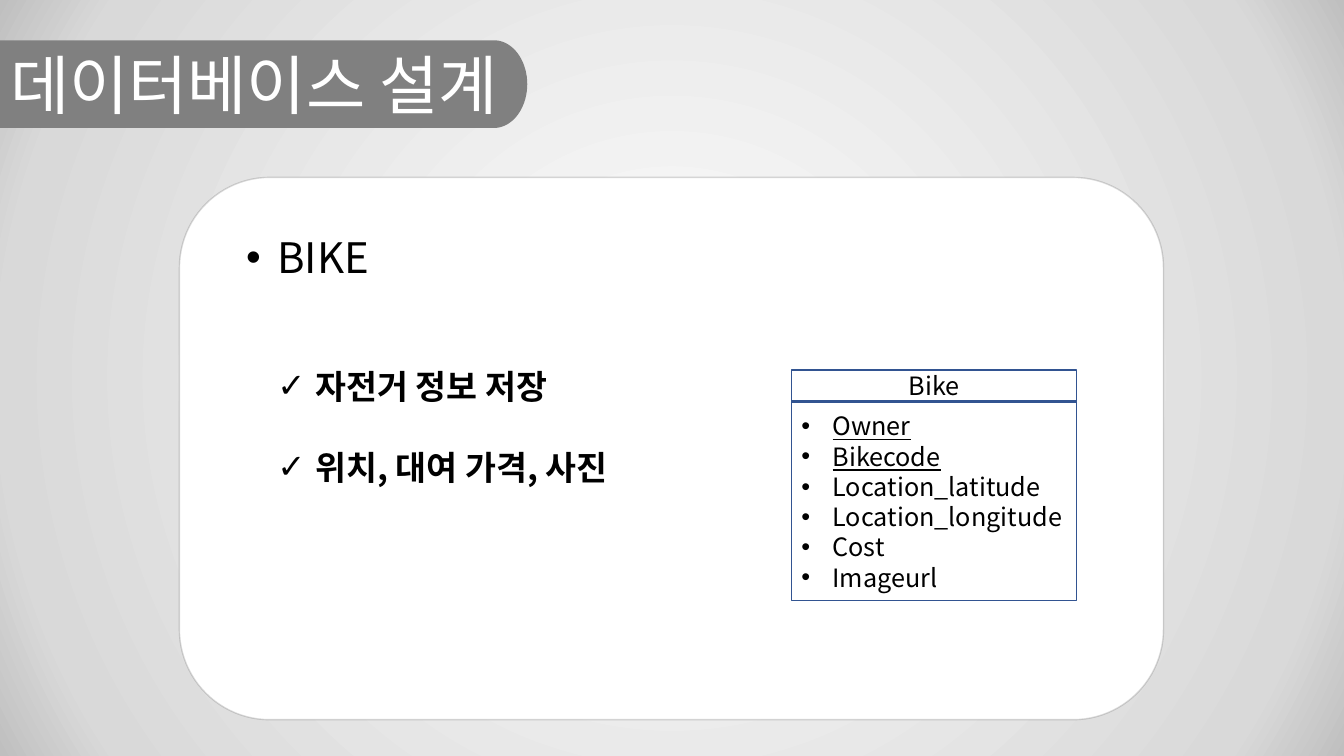
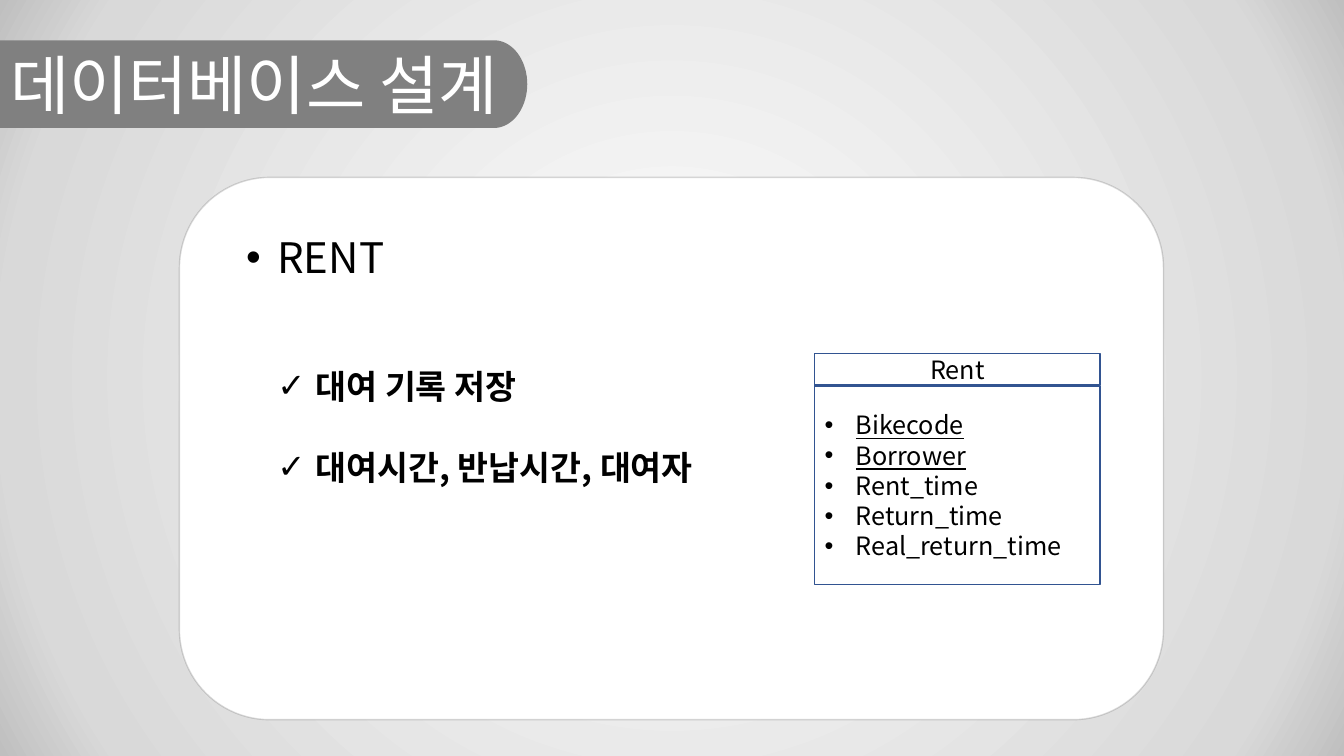
"""Build two database design slides, one for each stored entity."""
import math

import pptx
import pptx.dml.color
import pptx.enum.shapes
import pptx.enum.text
import pptx.oxml
import pptx.oxml.ns
import pptx.util
from lxml import etree

Inches = pptx.util.Inches
Pt = pptx.util.Pt
ALIGN = pptx.enum.text.PP_ALIGN
ANCHOR = pptx.enum.text.MSO_ANCHOR
SHAPE = pptx.enum.shapes.MSO_SHAPE
qn = pptx.oxml.ns.qn

FONT = "Noto Sans CJK KR"
BLACK, WHITE, BAND_GREY, ENTITY_BLUE = "000000", "FFFFFF", "808080", "325491"
HEADING = "데이터베이스 설계"

ENTITIES = [
    {
        "topic": "BIKE",
        "points": ["자전거 정보 저장", "위치, 대여 가격, 사진"],
        "name": "Bike",
        "corner": (7.85, 3.67),
        "keys": ["Owner", "Bikecode"],
        "fields": ["Location_latitude", "Location_longitude", "Cost", "Imageurl"],
    },
    {
        "topic": "RENT",
        "points": ["대여 기록 저장", "대여시간, 반납시간, 대여자"],
        "name": "Rent",
        "corner": (8.08, 3.51),
        "keys": ["Bikecode", "Borrower"],
        "fields": ["Rent_time", "Return_time", "Real_return_time"],
    },
]


def color(hex_code):
    return pptx.dml.color.RGBColor.from_string(hex_code)


def write_lines(frame, lines, size, ink=BLACK, bold=False, underlined=(), bullet=None,
                indent=0, gap=0, align=ALIGN.LEFT, anchor=ANCHOR.TOP):
    frame.word_wrap = True
    frame.auto_size = pptx.enum.text.MSO_AUTO_SIZE.NONE
    frame.vertical_anchor = anchor
    for number, line in enumerate(lines):
        paragraph = frame.add_paragraph() if number else frame.paragraphs[0]
        paragraph.alignment = align
        paragraph.line_spacing = Pt(size * 1.2)
        paragraph.space_before = Pt(gap if number else 0)
        properties = paragraph._p.get_or_add_pPr()
        properties.set("marL", str(Inches(indent)))
        properties.set("indent", str(-Inches(indent)))
        if bullet:
            etree.SubElement(properties, qn("a:buFont")).set("typeface", "Arial")
            etree.SubElement(properties, qn("a:buChar")).set("char", bullet)
        run = paragraph.add_run()
        run.text = line
        run.font.size = Pt(size)
        run.font.bold = bold
        run.font.underline = line in underlined
        run.font.color.rgb = color(ink)
        run.font.name = FONT
        etree.SubElement(run._r.get_or_add_rPr(), qn("a:ea")).set("typeface", FONT)


deck = pptx.Presentation()
deck.slide_width = Inches(13.33)
deck.slide_height = Inches(7.5)
layout = deck.slide_layouts[3]

stops = "".join(
    f'<a:gs pos="{percent * 1000}"><a:srgbClr val="{shade}"/></a:gs>'
    for percent, shade in [(0, WHITE), (87, "D9D9D9"), (100, "BFBFBF")]
)
backdrop = pptx.oxml.parse_xml(
    '<p:bg xmlns:p="http://schemas.openxmlformats.org/presentationml/2006/main" '
    'xmlns:a="http://schemas.openxmlformats.org/drawingml/2006/main">'
    f'<p:bgPr><a:gradFill rotWithShape="1"><a:gsLst>{stops}</a:gsLst>'
    '<a:path path="circle"><a:fillToRect l="50000" t="50000" r="50000" b="50000"/></a:path>'
    '</a:gradFill><a:effectLst/></p:bgPr></p:bg>'
)
master_content = deck.slide_master._element.cSld
for old_backdrop in master_content.findall(qn("p:bg")):
    master_content.remove(old_backdrop)
master_content.insert(0, backdrop)

slides = [deck.slides.add_slide(layout) for entity in ENTITIES]

panel = slides[0].shapes.add_shape(
    SHAPE.ROUNDED_RECTANGLE, Inches(1.78), Inches(1.76), Inches(9.76), Inches(5.38))
panel.fill.solid()
panel.fill.fore_color.rgb = color(WHITE)
panel.line.width = Pt(1)
panel.line.color.rgb = color(BLACK)
line_ink = panel.line._ln.find(".//" + qn("a:srgbClr"))
etree.SubElement(line_ink, qn("a:alpha")).set("val", "15000")

band_top, band_width, band_height, cap_width = 0.4, 5.23, 0.87, 0.33
cap = []
for degrees in range(-90, 91, 5):
    angle = math.radians(degrees)
    cap.append((
        Inches(band_width - cap_width + cap_width * math.cos(angle)),
        Inches(band_top + band_height / 2 * (1 + math.sin(angle))),
    ))
outline = slides[0].shapes.build_freeform(0, Inches(band_top))
outline.add_line_segments(cap + [(0, Inches(band_top + band_height))], close=True)
band = outline.convert_to_shape()
band.fill.solid()
band.fill.fore_color.rgb = color(BAND_GREY)
band.line.fill.background()

for number, shared in enumerate([panel, band]):
    shared.shadow.inherit = False
    shared._element.xpath(".//p:cNvPr")[0].set("id", str(20 + number))
    layout.shapes._spTree.insert(2 + number, shared._element)

for slide, entity in zip(slides, ENTITIES):
    title, topic, points = slide.placeholders
    for holder, (left, top, width, height) in [
        (title, (0, band_top, band_width, band_height)),
        (topic, (2.34, 2.25, 4.88, 0.61)),
        (points, (2.65, 3.58, 4.88, 1.31)),
    ]:
        holder.left, holder.top = Inches(left), Inches(top)
        holder.width, holder.height = Inches(width), Inches(height)
    write_lines(title.text_frame, [HEADING], 46, WHITE, anchor=ANCHOR.MIDDLE)
    write_lines(topic.text_frame, [entity["topic"]], 30, bullet="•", indent=0.31)
    write_lines(points.text_frame, entity["points"], 24, bold=True, bullet="✓",
                indent=0.38, gap=28.8)

    left, top = entity["corner"]
    boxes = []
    for box_top, box_height in [(top, 0.31), (top + 0.32, 1.97)]:
        box = slide.shapes.add_shape(
            SHAPE.RECTANGLE, Inches(left), Inches(box_top), Inches(2.83), Inches(box_height))
        box.shadow.inherit = False
        box.fill.solid()
        box.fill.fore_color.rgb = color(WHITE)
        box.line.color.rgb = color(ENTITY_BLUE)
        box.line.width = Pt(1)
        boxes.append(box.text_frame)
    entity_name, attributes = boxes
    attributes.margin_right = Inches(0.02)
    write_lines(entity_name, [entity["name"]], 18, align=ALIGN.CENTER, anchor=ANCHOR.MIDDLE)
    write_lines(attributes, entity["keys"] + entity["fields"], 18, underlined=entity["keys"],
                bullet="•", indent=0.31, anchor=ANCHOR.MIDDLE)

deck.save("out.pptx")
